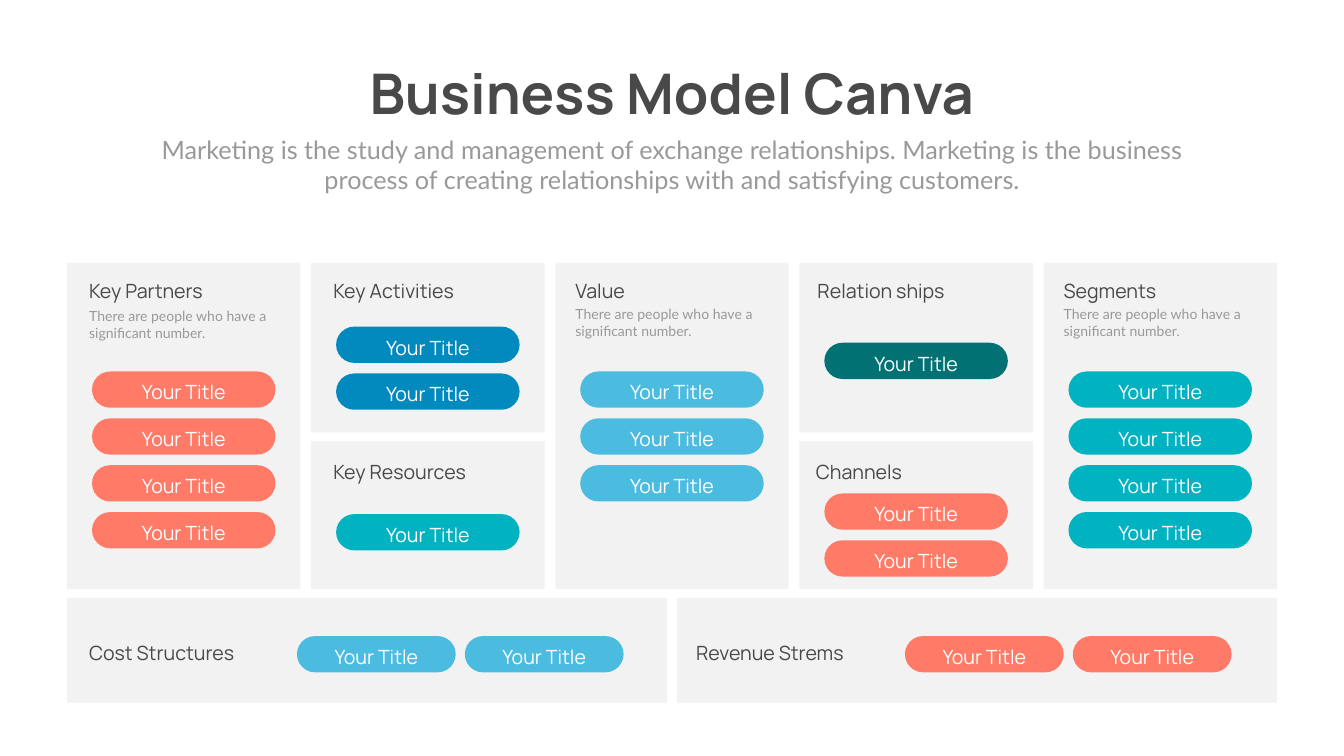
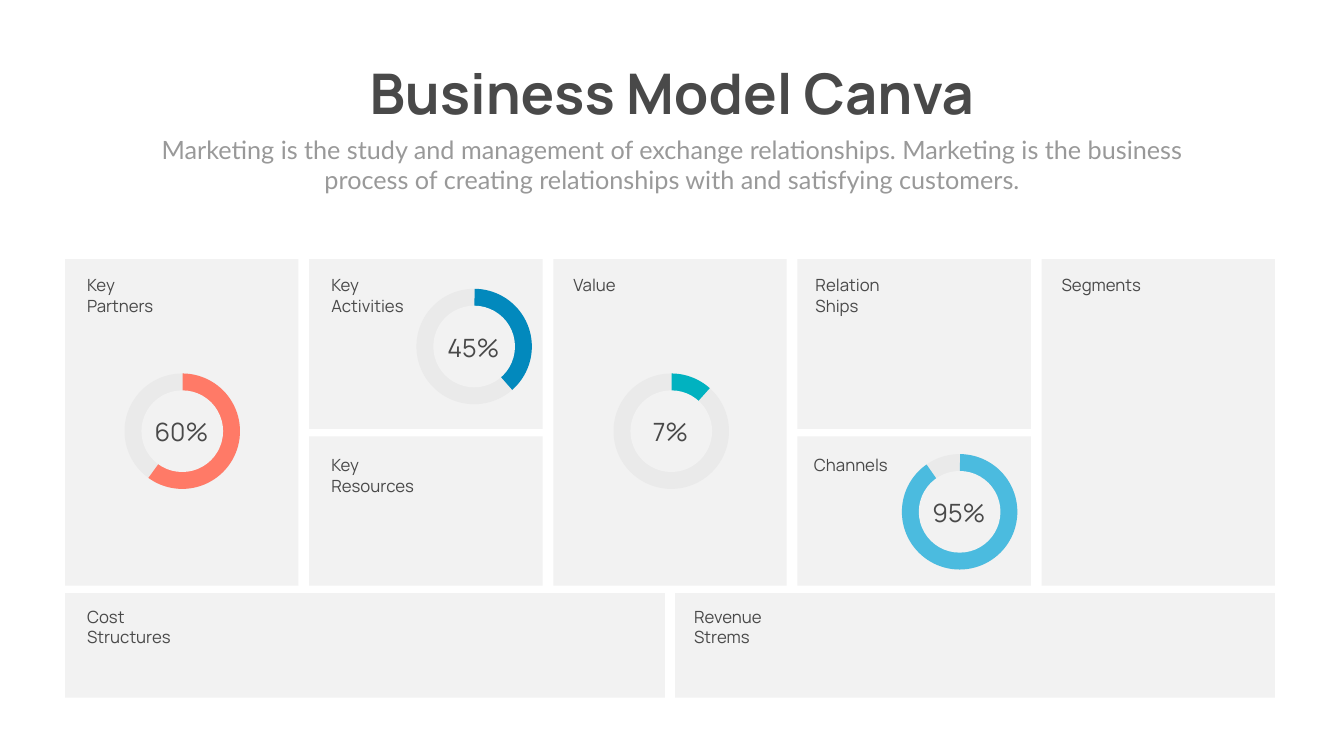
from dataclasses import dataclass

from pptx import Presentation
from pptx.dml.color import RGBColor
from pptx.enum.shapes import MSO_SHAPE
from pptx.enum.text import MSO_ANCHOR, MSO_AUTO_SIZE, PP_ALIGN
from pptx.util import Inches, Pt


@dataclass(frozen=True)
class Theme:
    heading_font: str = "Manrope"
    body_font: str = "Lato"
    dark: str = "494949"
    grey: str = "999999"
    white: str = "FFFFFF"
    card: str = "F2F2F2"
    track: str = "EAEAEA"
    coral: str = "FF7A67"
    blue: str = "0289BD"
    sky: str = "4BBBDF"
    teal: str = "01B2C0"
    green: str = "027174"
    title_size: int = 80
    large_size: int = 36
    label_size: int = 28
    small_label_size: int = 24
    note_size: int = 20


THEME = Theme()
TITLE = "Business Model Canva"
SUBTITLE = ("Marketing is the study and management of exchange relationships. "
            "Marketing is the business process of creating relationships with "
            "and satisfying customers.")
NOTE = "There are people who have a significant number."
PILL_TEXT = "Your Title"

BOARD_WIDTH = 24
CARD_WIDTH, CARD_HEIGHT, UPPER_HEIGHT = 4.63, 6.48, 3.37
COLUMN_PITCH = (BOARD_WIDTH - CARD_WIDTH) / 4
FOOT_WIDTH, FOOT_HEIGHT = 11.9, 2.07
PILL_WIDTH, PILL_HEIGHT, PILL_PITCH = 3.64, 0.72, 0.93
FOOT_PILL_WIDTH, FOOT_PILL_PITCH = 3.15, 3.33
RING_SIZE, HOLE_SIZE = 2.29, 1.62
RING_START = 270.45

# Distance of each label from the left edge of its card
LABEL_INDENTS = {
    "partners": 0.34, "activities": 0.34, "value": 0.3, "relations": 0.26,
    "segments": 0.3, "resources": 0.34, "channels": 0.23, "costs": 0.34,
    "revenue": 0.28,
}


def board_cards(left, top, gap):
    """Return the left, top, width and height of every card by name."""
    columns = [left + index * COLUMN_PITCH for index in range(5)]
    lower_top = top + UPPER_HEIGHT + gap
    lower_height = CARD_HEIGHT - UPPER_HEIGHT - gap
    foot_top = top + CARD_HEIGHT + gap
    cards = {}
    for name, column in (("partners", 0), ("value", 2), ("segments", 4)):
        cards[name] = (columns[column], top, CARD_WIDTH, CARD_HEIGHT)
    for upper, lower, column in (("activities", "resources", 1),
                                 ("relations", "channels", 3)):
        cards[upper] = (columns[column], top, CARD_WIDTH, UPPER_HEIGHT)
        cards[lower] = (columns[column], lower_top, CARD_WIDTH, lower_height)
    foot_right = left + BOARD_WIDTH - FOOT_WIDTH
    cards["costs"] = (left, foot_top, FOOT_WIDTH, FOOT_HEIGHT)
    cards["revenue"] = (foot_right, foot_top, FOOT_WIDTH, FOOT_HEIGHT)
    return cards


class CanvasDeck:
    def __init__(self, theme):
        self.theme = theme
        self.presentation = Presentation()
        self.presentation.slide_width = Inches(26.66)
        self.presentation.slide_height = Inches(15)
        self.slide = None

    def add_slide(self):
        layout = self.presentation.slide_layouts.get_by_name("Title Only")
        self.slide = self.presentation.slides.add_slide(layout)
        title = self.slide.shapes.title
        title.left, title.top = Inches(6.73), Inches(1.12)
        title.width, title.height = Inches(13.2), Inches(1.45)
        self.fill_frame(title.text_frame, TITLE, self.theme.title_size,
                        align=PP_ALIGN.CENTER, bold=True)
        self.text(2.92, 2.61, 20.82, 1.31, SUBTITLE, self.theme.large_size,
                  font=self.theme.body_font, color=self.theme.grey,
                  align=PP_ALIGN.CENTER)

    def fill_frame(self, frame, words, size, font=None, color=None,
                   align=PP_ALIGN.LEFT, bold=False, anchor=MSO_ANCHOR.TOP):
        frame.word_wrap = True
        frame.auto_size = MSO_AUTO_SIZE.NONE
        frame.vertical_anchor = anchor
        paragraph = frame.paragraphs[0]
        paragraph.alignment = align
        run = paragraph.add_run()
        run.text = words
        run.font.name = font or self.theme.heading_font
        run.font.size = Pt(size)
        run.font.bold = bold
        run.font.color.rgb = RGBColor.from_string(color or self.theme.dark)

    def text(self, left, top, width, height, words, size, **style):
        box = self.slide.shapes.add_textbox(
            Inches(left), Inches(top), Inches(width), Inches(height))
        self.fill_frame(box.text_frame, words, size, **style)

    def shape(self, kind, left, top, width, height, fill, adjustments=()):
        shape = self.slide.shapes.add_shape(
            kind, Inches(left), Inches(top), Inches(width), Inches(height))
        shape.shadow.inherit = False
        shape.fill.solid()
        shape.fill.fore_color.rgb = RGBColor.from_string(fill)
        shape.line.fill.background()
        for index, value in enumerate(adjustments):
            shape.adjustments[index] = value
        return shape

    def board(self, cards, labels, label_size, foot_label_drop):
        """Draw all cards; labels maps a card to its words and box size."""
        for name, (left, top, width, height) in cards.items():
            self.shape(MSO_SHAPE.ROUNDED_RECTANGLE, left, top, width, height,
                       self.theme.card, [0])
            drop = 0.27
            if name in ("resources", "channels"):
                drop = 0.32
            elif name in ("costs", "revenue"):
                drop = foot_label_drop
            words, label_width, label_height = labels[name]
            self.text(left + LABEL_INDENTS[name], top + drop,
                      label_width, label_height, words, label_size)

    def pill(self, left, top, width, fill):
        shape = self.shape(MSO_SHAPE.ROUNDED_RECTANGLE, left, top, width,
                           PILL_HEIGHT, fill, [0.5])
        frame = shape.text_frame
        frame.margin_top, frame.margin_bottom = Inches(0.1), Inches(0)
        self.fill_frame(frame, PILL_TEXT, self.theme.label_size,
                        color=self.theme.white, align=PP_ALIGN.CENTER,
                        anchor=MSO_ANCHOR.MIDDLE)

    def pill_stack(self, card, top, count, fill):
        left = card[0] + (CARD_WIDTH - PILL_WIDTH) / 2
        for row in range(count):
            self.pill(left, top + row * PILL_PITCH, PILL_WIDTH, fill)

    def ring(self, left, top, end_angle, label, fill):
        """Draw a progress ring from the top round to end_angle in degrees."""
        inset = (RING_SIZE - HOLE_SIZE) / 2
        self.shape(MSO_SHAPE.OVAL, left, top, RING_SIZE, RING_SIZE,
                   self.theme.track)
        # Angles are stored in 60000ths, adjustments in 100000ths
        self.shape(MSO_SHAPE.PIE, left, top, RING_SIZE, RING_SIZE, fill,
                   [RING_START * 0.6, end_angle * 0.6])
        self.shape(MSO_SHAPE.OVAL, left + inset, top + inset, HOLE_SIZE,
                   HOLE_SIZE, self.theme.card)
        self.text(left + 0.36, top + 0.81, 1.54, 0.71, label,
                  self.theme.large_size, align=PP_ALIGN.CENTER)


def build_pill_slide(deck):
    theme = deck.theme
    deck.add_slide()
    cards = board_cards(1.33, 5.21, 0.18)
    labels = {
        "partners": ("Key Partners", 3.02, 0.56),
        "activities": ("Key Activities", 3.45, 0.56),
        "value": ("Value", 2.39, 0.56),
        "relations": ("Relation ships", 3.45, 0.56),
        "segments": ("Segments", 2.39, 0.56),
        "resources": ("Key Resources", 3.48, 0.56),
        "channels": ("Channels", 2.41, 0.56),
        "costs": ("Cost Structures", 3.8, 0.56),
        "revenue": ("Revenue Strems", 3.8, 0.56),
    }
    deck.board(cards, labels, theme.label_size, foot_label_drop=0.8)

    for name, top in (("partners", 6.05), ("value", 6.02), ("segments", 6.02)):
        deck.text(cards[name][0] + LABEL_INDENTS[name], top, 3.84, 0.72, NOTE,
                  theme.note_size, font=theme.body_font, color=theme.grey)

    for name, top, count, fill in (
        ("partners", 7.37, 4, theme.coral),
        ("activities", 6.48, 2, theme.blue),
        ("resources", 10.2, 1, theme.teal),
        ("value", 7.37, 3, theme.sky),
        ("relations", 6.8, 1, theme.green),
        ("channels", 9.79, 2, theme.coral),
        ("segments", 7.37, 4, theme.teal),
    ):
        deck.pill_stack(cards[name], top, count, fill)

    for first_left, fill in ((5.89, theme.sky), (17.95, theme.coral)):
        for column in range(2):
            deck.pill(first_left + column * FOOT_PILL_PITCH, 12.62,
                      FOOT_PILL_WIDTH, fill)


def build_ring_slide(deck):
    theme = deck.theme
    deck.add_slide()
    labels = {
        "partners": ("Key Partners", 1.83, 0.91),
        "activities": ("Key Activities", 1.82, 0.91),
        "value": ("Value", 2.39, 0.5),
        "relations": ("Relation Ships", 1.82, 0.91),
        "segments": ("Segments", 2.39, 0.5),
        "resources": ("Key Resources", 2.18, 0.91),
        "channels": ("Channels", 2.41, 0.5),
        "costs": ("Cost Structures", 2, 0.91),
        "revenue": ("Revenue Strems", 2, 0.91),
    }
    deck.board(board_cards(1.29, 5.14, 0.15), labels, theme.small_label_size,
               foot_label_drop=0.21)

    for left, top, end_angle, label, fill in (
        (2.47, 7.41, 125.91, "60%", theme.coral),
        (8.26, 5.73, 48.72, "45%", theme.blue),
        (12.17, 7.41, 311.85, "7%", theme.teal),
        (17.89, 9.01, 235.04, "95%", theme.sky),
    ):
        deck.ring(left, top, end_angle, label, fill)


def main():
    deck = CanvasDeck(THEME)
    build_pill_slide(deck)
    build_ring_slide(deck)
    deck.presentation.save("out.pptx")


if __name__ == "__main__":
    main()
